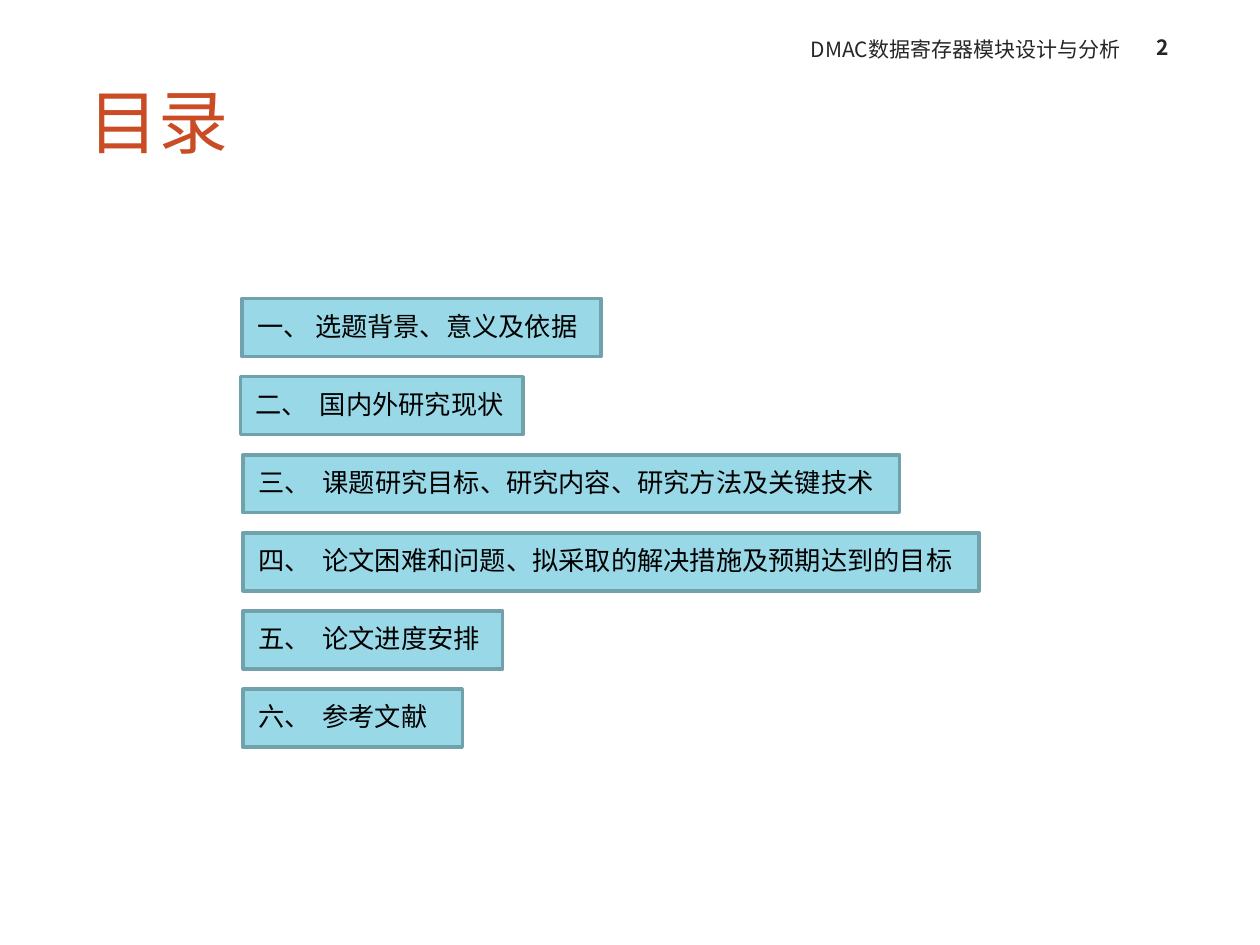
import pptx
import pptx.util
import pptx.dml.color
import pptx.enum.shapes
import pptx.enum.text
import lxml.etree
from dataclasses import dataclass
from pptx.util import Inches


@dataclass(frozen=True)
class Theme:
    font: str = "Noto Sans CJK SC"
    title: str = "C94C25"
    header: str = "262626"
    text: str = "000000"
    bar: str = "99D9E7"
    border: str = "71A1AB"
    title_size: int = 40
    header_size: int = 12
    item_size: int = 15


theme = Theme()
rgb = pptx.dml.color.RGBColor.from_string
ALIGN = pptx.enum.text.PP_ALIGN
ANCHOR = pptx.enum.text.MSO_ANCHOR


def write(sp, text, size, color, align, anchor, insets, bold=False):
    tf = sp.text_frame
    tf.word_wrap = True
    tf.auto_size = pptx.enum.text.MSO_AUTO_SIZE.NONE
    tf.vertical_anchor = anchor
    tf.margin_left = tf.margin_right = Inches(insets[0])
    tf.margin_top = tf.margin_bottom = Inches(insets[1])
    tf.text = text
    p = tf.paragraphs[0]
    p.alignment = align
    for r in p.runs:
        r.font.name = theme.font
        r.font.size = pptx.util.Pt(size)
        r.font.bold = bold
        r.font.color.rgb = rgb(color)
        ea = lxml.etree.SubElement(r.font._element, pptx.oxml.ns.qn("a:ea"))
        ea.set("typeface", theme.font)
    return p


def indent(p, left, first):
    pPr = p._p.get_or_add_pPr()
    pPr.set("marL", str(Inches(left)))
    pPr.set("indent", str(Inches(first)))


prs = pptx.Presentation()
prs.slide_width, prs.slide_height = Inches(10), Inches(7.5)
s = prs.slides.add_slide(prs.slide_layouts[5])

title = s.shapes.title
title.left, title.top = Inches(0.5), Inches(0.52)
title.width, title.height = Inches(5.2), Inches(0.87)
p = write(title, "目录", theme.title_size, theme.title, ALIGN.LEFT, ANCHOR.MIDDLE, (0, 0.05))
indent(p, 0.2, 0)

headers = [
    ("DMAC数据寄存器模块设计与分析", 6.22, 0.21, 2.77, ALIGN.RIGHT, False),
    ("2", 8.95, 0.19, 0.55, ALIGN.CENTER, True),
]
for text, left, top, width, align, bold in headers:
    sp = s.shapes.add_textbox(Inches(left), Inches(top), Inches(width), Inches(0.33))
    write(sp, text, theme.header_size, theme.header, align, ANCHOR.BOTTOM, (0.1, 0.05), bold)

items = [
    ("一、", "选题背景、意义及依据", 1.92, 2.85, 0.46),
    ("二、", "国内外研究现状", 1.91, 2.24, 0.51),
    ("三、", "课题研究目标、研究内容、研究方法及关键技术", 1.93, 5.21, 0.51),
    ("四、", "论文困难和问题、拟采取的解决措施及预期达到的目标", 1.93, 5.84, 0.51),
    ("五、", "论文进度安排", 1.93, 2.06, 0.51),
    ("六、", "参考文献", 1.93, 1.74, 0.51),
]
for i, (number, text, left, width, hang) in enumerate(items):
    sp = s.shapes.add_shape(
        pptx.enum.shapes.MSO_SHAPE.RECTANGLE,
        Inches(left), Inches(2.37 + 0.62 * i), Inches(width), Inches(0.46))
    sp.shadow.inherit = False
    sp.fill.solid()
    sp.fill.fore_color.rgb = rgb(theme.bar)
    sp.line.color.rgb = rgb(theme.border)
    sp.line.width = pptx.util.Pt(2)
    p = write(sp, f"{number}\t{text}", theme.item_size, theme.text,
              ALIGN.LEFT, ANCHOR.MIDDLE, (0.12, 0.12))
    p.line_spacing = 0.9
    indent(p, hang, -hang)

prs.save("out.pptx")
